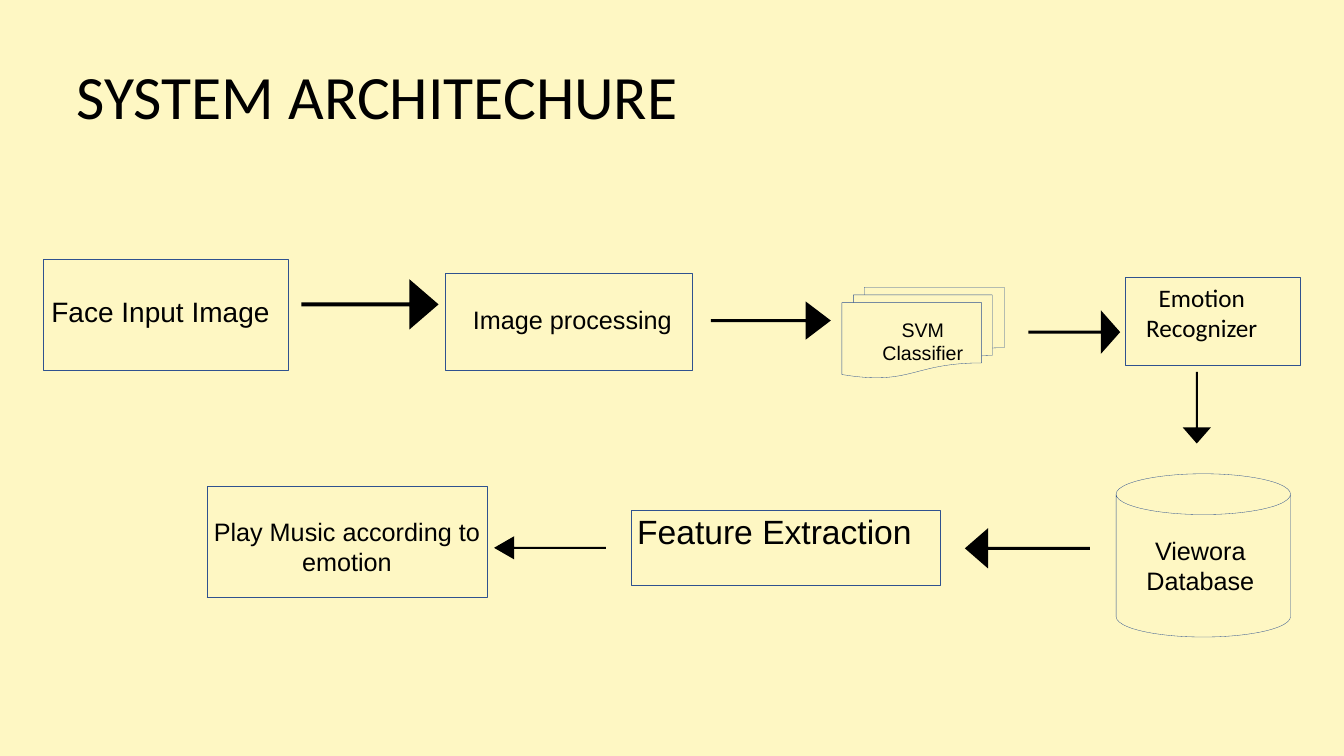
from dataclasses import dataclass

from pptx import Presentation
from pptx.dml.color import RGBColor
from pptx.enum.shapes import MSO_SHAPE
from pptx.enum.text import MSO_ANCHOR, PP_ALIGN
from pptx.util import Inches, Pt

RECT = MSO_SHAPE.RECTANGLE
DOCUMENTS = MSO_SHAPE.FLOWCHART_MULTIDOCUMENT
CAN = MSO_SHAPE.CAN
RIGHT = MSO_SHAPE.RIGHT_ARROW
LEFT = MSO_SHAPE.LEFT_ARROW
DOWN = MSO_SHAPE.DOWN_ARROW
TOP, MIDDLE = MSO_ANCHOR.TOP, MSO_ANCHOR.MIDDLE
ALIGN_LEFT, ALIGN_CENTER = PP_ALIGN.LEFT, PP_ALIGN.CENTER

COLORS = {"background": "FEF7C3", "outline": "2F528F", "ink": "000000"}


@dataclass
class Stage:
    text: str
    at: tuple[float, float, float, float]
    insets: tuple[float, float, float]
    size: int = 18
    font: str = "Arial"
    kind: MSO_SHAPE = RECT
    align: PP_ALIGN = ALIGN_CENTER
    anchor: MSO_ANCHOR = TOP


@dataclass
class Arrow:
    kind: MSO_SHAPE
    at: tuple[float, float, float, float]
    shaft: float
    head: float


STAGES = [
    Stage("Face Input Image", (0.43, 2.57, 2.43, 1.1), (0.08, 0.35, 0), size=20, align=ALIGN_LEFT),
    Stage("Image processing", (4.42, 2.71, 2.45, 0.96), (0.27, 0.31, 0), align=ALIGN_LEFT),
    Stage("SVM\nClassifier", (8.35, 2.85, 1.61, 0.9), (0.22, 0.15, 0), size=14, kind=DOCUMENTS),
    Stage("Emotion\nRecognizer", (11.16, 2.75, 1.74, 0.87), (0, 0.05, 0.22), font="Calibri"),
    Stage("Viewora\nDatabase", (11.07, 4.7, 1.73, 1.62), (0, 0, 0.06), kind=CAN, anchor=MIDDLE),
    Stage("Feature Extraction", (6.26, 5.06, 3.07, 0.75), (0.06, 0.01, 0), size=24, align=ALIGN_LEFT),
    Stage("Play Music according to emotion", (2.05, 4.82, 2.78, 1.1), (0, 0.3, 0)),
]

ARROWS = [
    Arrow(RIGHT, (2.99, 2.77, 1.36, 0.5), 0.04, 0.29),
    Arrow(RIGHT, (7.05, 2.99, 1.19, 0.38), 0.03, 0.25),
    Arrow(RIGHT, (10.2, 3.08, 0.91, 0.43), 0.03, 0.19),
    Arrow(DOWN, (11.73, 3.69, 0.28, 0.71), 0.02, 0.16),
    Arrow(LEFT, (9.57, 5.24, 1.24, 0.4), 0.03, 0.23),
    Arrow(LEFT, (4.9, 5.32, 1.11, 0.23), 0.02, 0.2),
]


def color(name: str) -> RGBColor:
    return RGBColor.from_string(COLORS[name])


def write(tf, text: str, font: str, size: int, align: PP_ALIGN) -> None:
    tf.text = text
    for p in tf.paragraphs:
        p.alignment = align
        for r in p.runs:
            r.font.name = font
            r.font.size = Pt(size)
            r.font.color.rgb = color("ink")


def add_title(s, text: str) -> None:
    title = s.shapes.title
    title.left, title.top = Inches(0.66), Inches(0.61)
    title.width, title.height = Inches(7.58), Inches(0.96)
    tf = title.text_frame
    tf.vertical_anchor = TOP
    tf.margin_top = Inches(0.08)
    write(tf, text, "Calibri", 44, ALIGN_LEFT)
    tf.paragraphs[0].line_spacing = 0.85


def add_stage(s, stage: Stage) -> None:
    sp = s.shapes.add_shape(stage.kind, *map(Inches, stage.at))
    sp.shadow.inherit = False
    sp.fill.background()
    sp.line.color.rgb = color("outline")
    sp.line.width = Pt(0.23)
    tf = sp.text_frame
    tf.word_wrap = True
    tf.vertical_anchor = stage.anchor
    tf.margin_left, tf.margin_top, tf.margin_right = map(Inches, stage.insets)
    tf.margin_bottom = 0
    write(tf, stage.text, stage.font, stage.size, stage.align)


def add_arrow(s, arrow: Arrow) -> None:
    sp = s.shapes.add_shape(arrow.kind, *map(Inches, arrow.at))
    sp.shadow.inherit = False
    sp.fill.solid()
    sp.fill.fore_color.rgb = color("ink")
    sp.line.fill.background()
    thickness = min(arrow.at[2:])
    sp.adjustments[0] = arrow.shaft / thickness
    sp.adjustments[1] = arrow.head / thickness


def main() -> None:
    prs = Presentation()
    prs.slide_width, prs.slide_height = Inches(13.33), Inches(7.5)
    s = prs.slides.add_slide(prs.slide_layouts[5])
    s.background.fill.solid()
    s.background.fill.fore_color.rgb = color("background")
    add_title(s, "SYSTEM ARCHITECHURE")
    for stage in STAGES:
        add_stage(s, stage)
    for arrow in ARROWS:
        add_arrow(s, arrow)
    prs.save("out.pptx")


if __name__ == "__main__":
    main()
